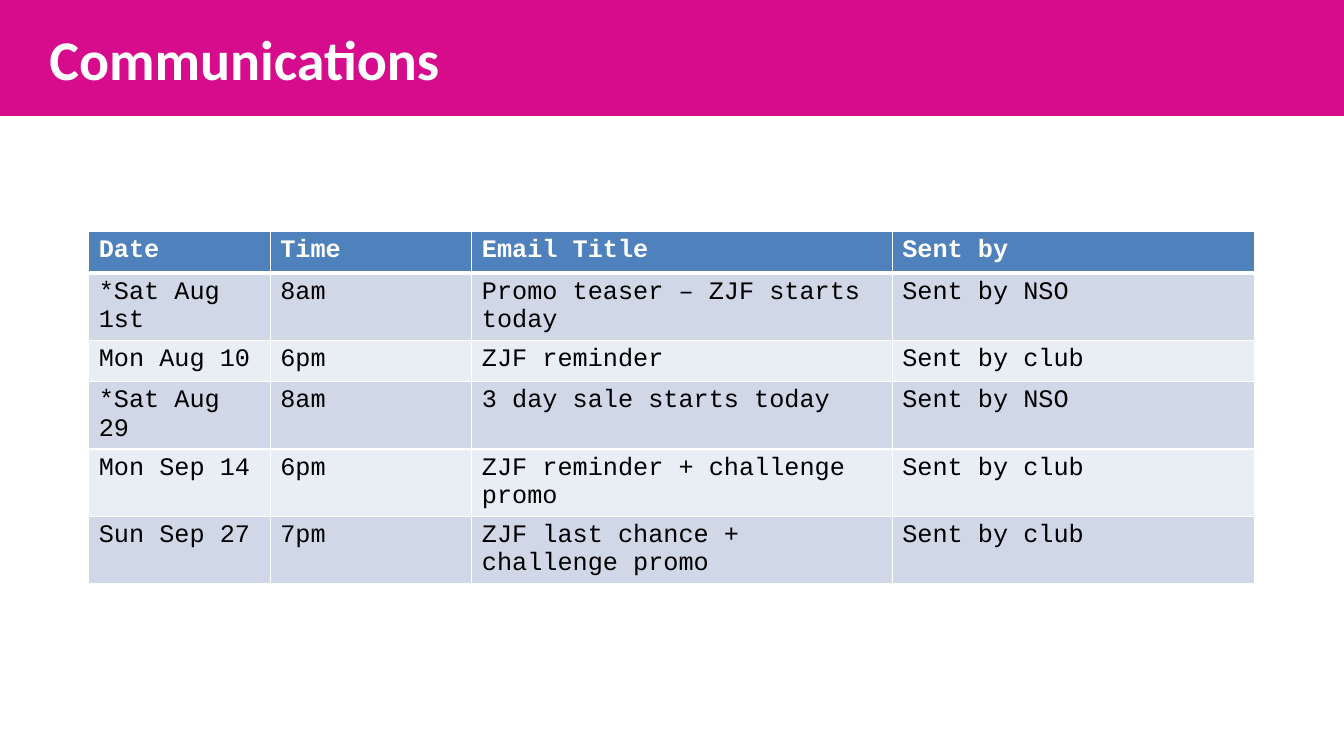
from lxml.etree import SubElement
from pptx import Presentation
from pptx.dml.color import RGBColor
from pptx.enum.text import MSO_ANCHOR, MSO_AUTO_SIZE, PP_ALIGN
from pptx.oxml.ns import qn
from pptx.util import Inches, Pt

TITLE = "Communications"
ROWS = [
    ("Date", "Time", "Email Title", "Sent by"),
    ("*Sat Aug 1st", "8am", "Promo teaser – ZJF starts today", "Sent by NSO"),
    ("Mon Aug 10", "6pm", "ZJF reminder", "Sent by club"),
    ("*Sat Aug 29", "8am", "3 day sale starts today", "Sent by NSO"),
    ("Mon Sep 14", "6pm", "ZJF reminder + challenge promo", "Sent by club"),
    ("Sun Sep 27", "7pm", "ZJF last chance + challenge promo", "Sent by club"),
]
WIDTHS = (1.8, 2, 4.17, 3.59)
HIGH = 0.41
PINK, BLUE, WHITE, BLACK = "D60C8C", "4F81BD", "FFFFFF", "000000"
BANDS = ("D0D8E8", "E9EDF4")
HEAD = {"name": "Courier New", "size": Pt(18), "bold": True}
BODY = {**HEAD, "bold": False}
BIG = {"name": "Calibri", "size": Pt(40), "bold": True}


def paint(item, tone):
    item.fill.solid()
    item.fill.fore_color.rgb = RGBColor.from_string(tone)


def write(frame, text, form, tone):
    frame.text = text
    font = frame.paragraphs[0].runs[0].font
    for key, value in form.items():
        setattr(font, key, value)
    font.color.rgb = RGBColor.from_string(tone)


def edge(cell, sides):
    """Draw white cell borders; must run before the cell is filled."""
    props = cell._tc.get_or_add_tcPr()
    for side, width in sides.items():
        line = SubElement(props, qn(f"a:ln{side}"), w=str(Pt(width)))
        fill = SubElement(line, qn("a:solidFill"))
        SubElement(fill, qn("a:srgbClr"), val=WHITE)


def add_title(slide):
    title = slide.shapes.title
    title.left = title.top = 0
    title.width, title.height = Inches(13.33), Inches(1.15)
    paint(title, PINK)
    frame = title.text_frame
    write(frame, TITLE, BIG, WHITE)
    frame.auto_size = MSO_AUTO_SIZE.NONE
    frame.vertical_anchor = MSO_ANCHOR.MIDDLE
    frame.margin_left = Inches(0.49)
    frame.paragraphs[0].alignment = PP_ALIGN.LEFT
    frame.paragraphs[0].space_before = Pt(8)


def add_mails(slide):
    table = slide.shapes.add_table(
        len(ROWS), len(WIDTHS), Inches(0.88), Inches(2.3),
        Inches(sum(WIDTHS)), Inches(HIGH * len(ROWS))).table
    for col, width in zip(table.columns, WIDTHS):
        col.width = Inches(width)
    for r, row in enumerate(ROWS):
        table.rows[r].height = Inches(HIGH)
        form, ink, back = ((BODY, BLACK, BANDS[(r - 1) % 2]) if r
                           else (HEAD, WHITE, BLUE))
        sides = {"L": 1, "R": 1, "T": 3 if r == 1 else 1, "B": 1 if r else 3}
        for c, text in enumerate(row):
            cell = table.cell(r, c)
            edge(cell, sides)
            paint(cell, back)
            write(cell.text_frame, text, form, ink)


def main():
    deck = Presentation()
    deck.slide_width, deck.slide_height = Inches(13.33), Inches(7.5)
    slide = deck.slides.add_slide(deck.slide_layouts[5])
    add_title(slide)
    add_mails(slide)
    deck.save("out.pptx")


if __name__ == "__main__":
    main()
